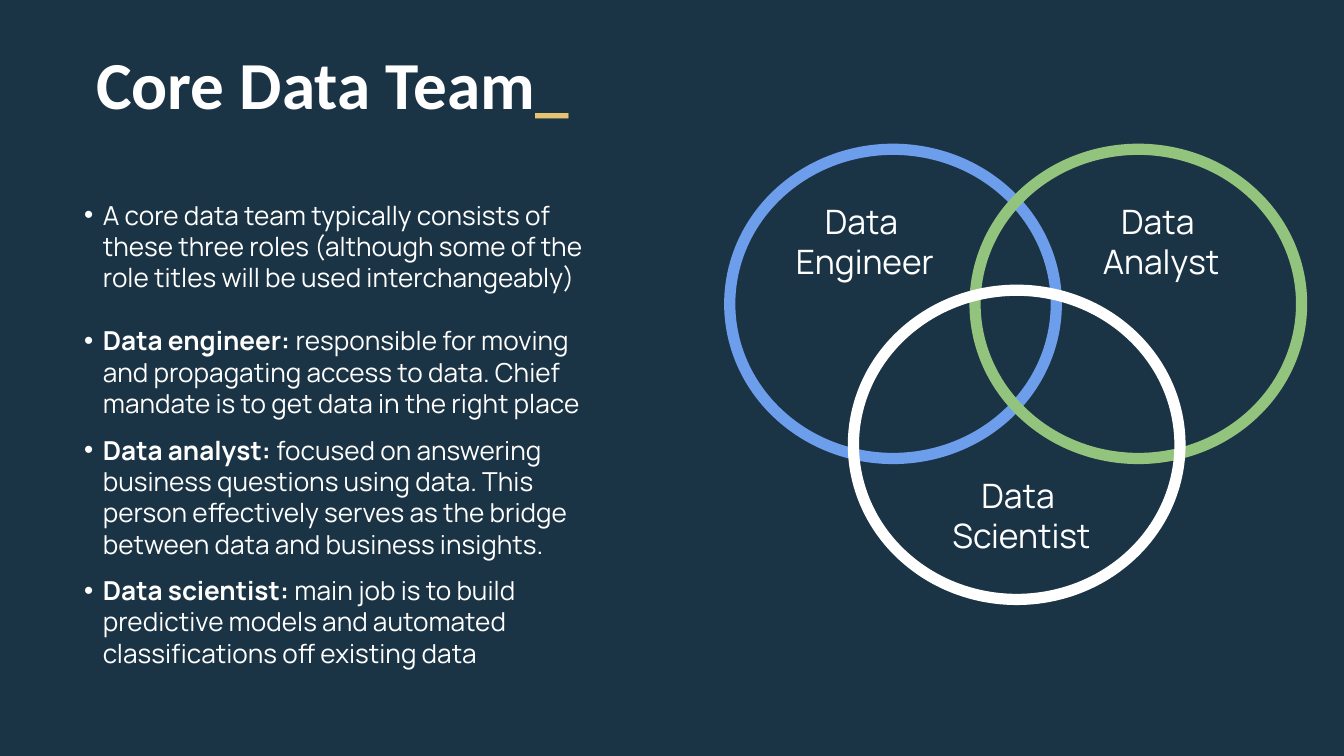
import pptx
import pptx.dml.color
import pptx.enum.shapes
import pptx.enum.text
import pptx.util
from lxml import etree
from pptx.oxml.ns import qn

NAVY, WHITE, GOLD = "1B3445", "FFFFFF", "E6C372"
BLUE, GREEN = "6D9EEB", "93C47D"


def color(hex_code):
    return pptx.dml.color.RGBColor.from_string(hex_code)


class TeamSlide:
    """Style and current slide; places are percentages of the slide size."""

    heading_font = "Calibri"
    body_font = "Manrope"
    indent = 0.19
    hanging = -0.14

    def __init__(self, deck):
        self.deck = deck
        self.slide = deck.slides.add_slide(deck.slide_layouts[1])
        self.slide.background.fill.solid()
        self.slide.background.fill.fore_color.rgb = color(NAVY)

    def box(self, left, top, width, height):
        across, down = self.deck.slide_width / 100, self.deck.slide_height / 100
        return [round(left * across), round(top * down),
                round(width * across), round(height * down)]

    def place(self, holder, *area):
        holder.left, holder.top, holder.width, holder.height = self.box(*area)

    def frame(self, holder, side=0.07, end=0.04):
        frame = holder.text_frame
        frame.word_wrap = True
        frame.auto_size = pptx.enum.text.MSO_AUTO_SIZE.NONE
        frame.vertical_anchor = pptx.enum.text.MSO_ANCHOR.TOP
        frame.margin_left = frame.margin_right = pptx.util.Inches(side)
        frame.margin_top = frame.margin_bottom = pptx.util.Inches(end)
        return frame

    def style(self, run, font, size, hex_code=WHITE, bold=False):
        run.font.name = font
        run.font.size = pptx.util.Pt(size)
        run.font.bold = bold
        run.font.color.rgb = color(hex_code)

    def paragraph(self, frame, first, hanging=0, before=0):
        paragraph = frame.paragraphs[0] if first else frame.add_paragraph()
        properties = paragraph._p.get_or_add_pPr()
        properties.set("marL", str(pptx.util.Inches(self.indent)))
        properties.set("indent", str(pptx.util.Inches(hanging)))
        paragraph.line_spacing = 1.0
        paragraph.space_before = pptx.util.Pt(before)
        paragraph.space_after = pptx.util.Pt(0)
        return paragraph

    def bullet(self, paragraph):
        properties = paragraph._p.get_or_add_pPr()
        tint = etree.SubElement(properties, qn("a:buClr"))
        etree.SubElement(tint, qn("a:srgbClr")).set("val", WHITE)
        etree.SubElement(properties, qn("a:buChar")).set("char", "•")

    def title(self, parts, *area):
        heading = self.slide.shapes.title
        self.place(heading, *area)
        paragraph = self.frame(heading, end=0.07).paragraphs[0]
        paragraph.alignment = pptx.enum.text.PP_ALIGN.LEFT
        for words, hex_code in parts:
            run = paragraph.add_run()
            run.text = words
            self.style(run, self.heading_font, 36, hex_code, bold=True)

    def bullets(self, items, *area):
        body = self.slide.placeholders[1]
        self.place(body, *area)
        frame = self.frame(body)
        for number, (role, duty, before) in enumerate(items):
            paragraph = self.paragraph(frame, number == 0, self.hanging, before)
            self.bullet(paragraph)
            for words, bold in ((role, True), (duty, False)):
                if words:
                    run = paragraph.add_run()
                    run.text = words
                    self.style(run, self.body_font, 14, bold=bold)

    def ring(self, hex_code, *area):
        ring = self.slide.shapes.add_shape(
            pptx.enum.shapes.MSO_SHAPE.OVAL, *self.box(*area))
        ring.shadow.inherit = False
        ring.fill.background()
        ring.line.color.rgb = color(hex_code)
        ring.line.width = pptx.util.Pt(6)

    def label(self, lines, *area):
        label = self.slide.shapes.add_textbox(*self.box(*area))
        frame = self.frame(label)
        for number, line in enumerate(lines):
            paragraph = self.paragraph(frame, number == 0)
            paragraph.alignment = pptx.enum.text.PP_ALIGN.CENTER
            paragraph.text = line
            self.style(paragraph.runs[0], self.body_font, 18)


def main():
    deck = pptx.Presentation()
    deck.slide_width = pptx.util.Inches(10)
    deck.slide_height = deck.slide_width * 9 // 16
    team = TeamSlide(deck)

    # Heading
    team.title([("Core Data Team", WHITE), ("_", GOLD)], 6.45, 4.3, 76.4, 14.2)

    # Roles: bold lead, description, space before in points
    roles = [
        ("", "A core data team typically consists of these three roles "
             "(although some of the role titles will be used interchangeably)", 0),
        ("Data engineer:", " responsible for moving and propagating access to data. "
                           "Chief mandate is to get data in the right place", 17),
        ("Data analyst:", " focused on answering business questions using data. "
                          "This person effectively serves as the bridge between "
                          "data and business insights.", 8),
        ("Data scientist:", " main job is to build predictive models and automated "
                            "classifications off existing data", 8),
    ]
    team.bullets(roles, 5.05, 25.6, 41.3, 63.5)

    # Venn diagram: rings first, labels on top
    venn = [
        ("Engineer", BLUE, (54.3, 19.75), (53.4, 25.8)),
        ("Analyst", GREEN, (72.55, 19.75), (75.45, 25.8)),
        ("Scientist", WHITE, (63.5, 38.4), (65.05, 62.1)),
    ]
    for _, hex_code, corner, _ in venn:
        team.ring(hex_code, *corner, 24.3, 40.9)
    for role, _, _, corner in venn:
        team.label(["Data ", role], *corner, 20, 8)

    deck.save("out.pptx")


if __name__ == "__main__":
    main()
